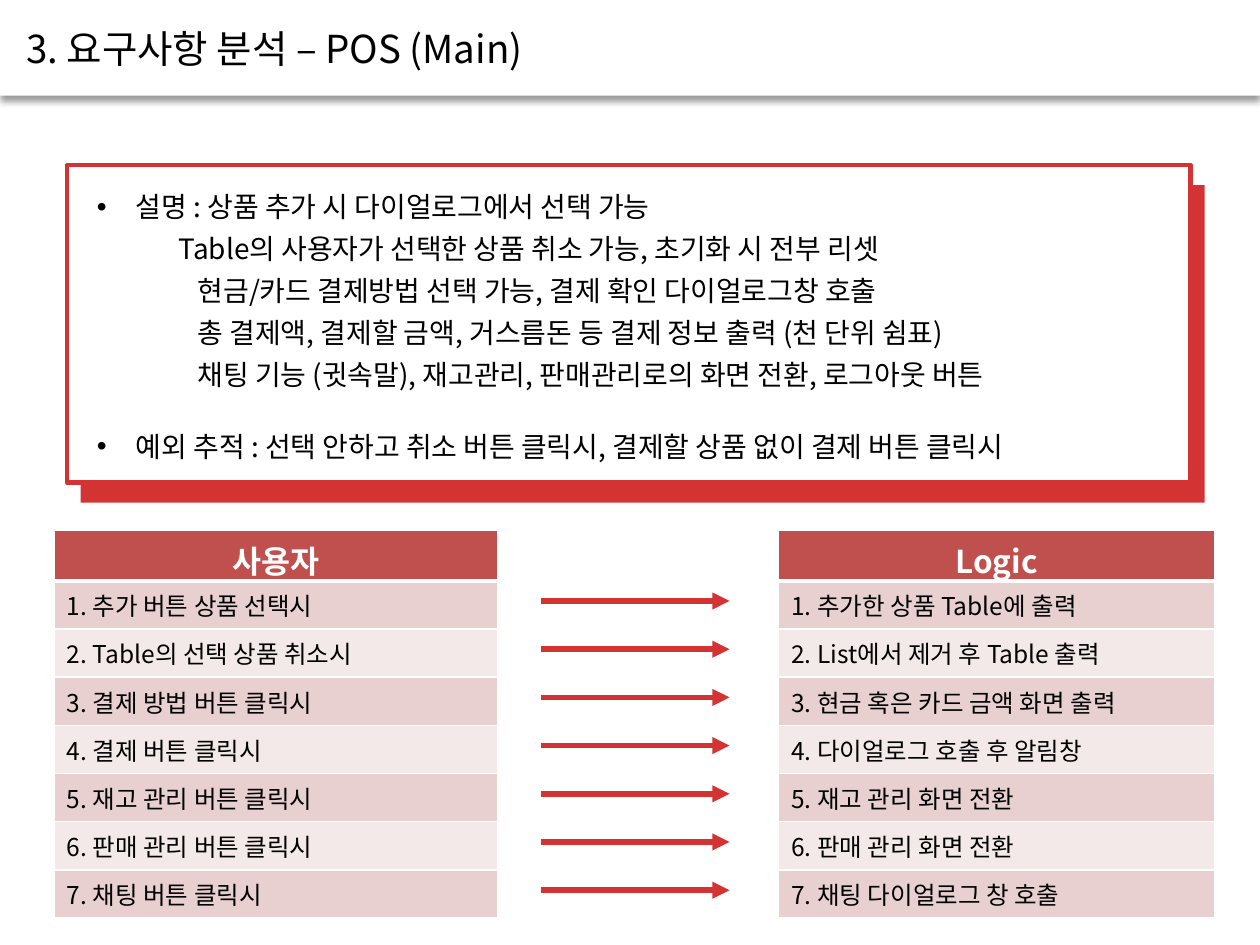
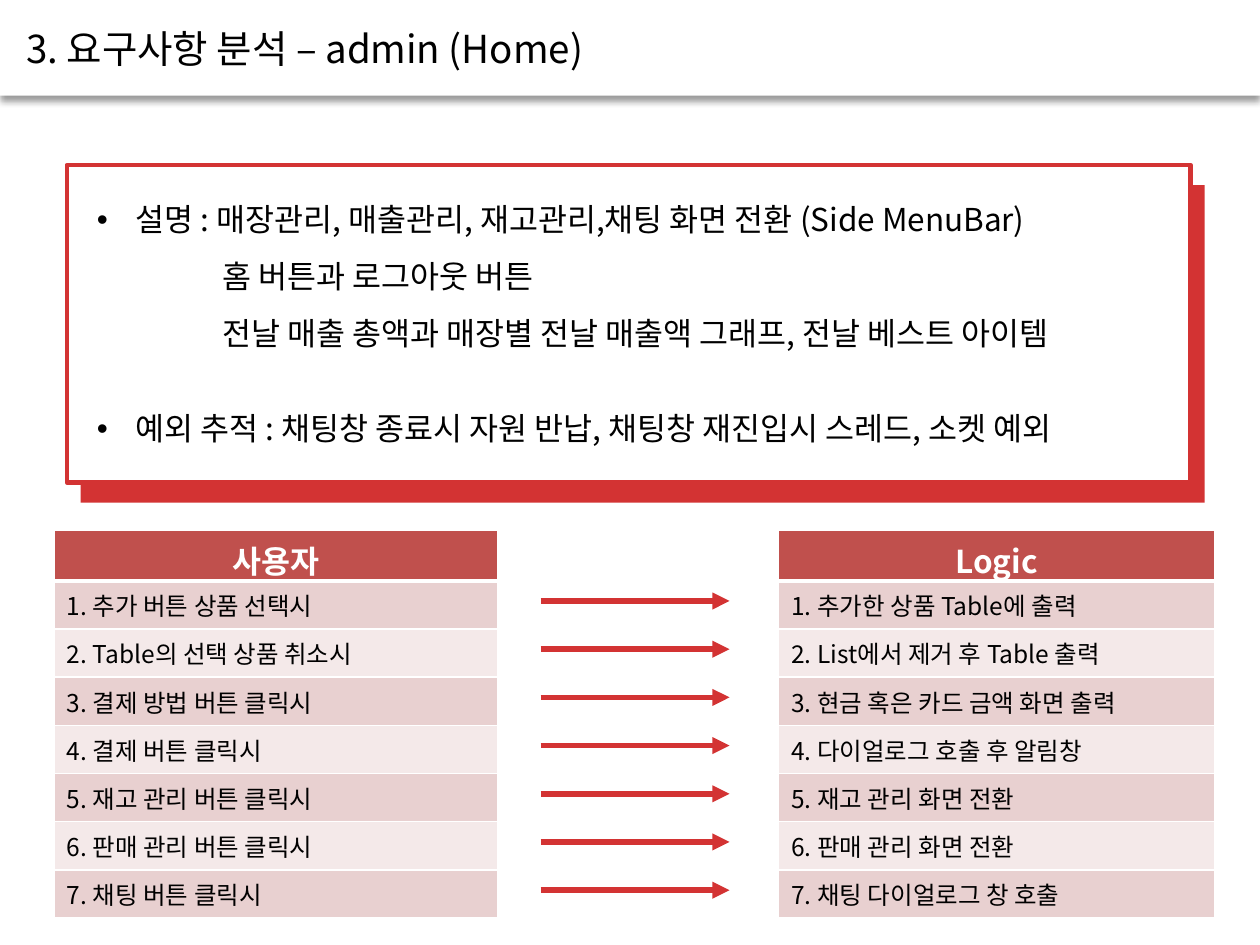
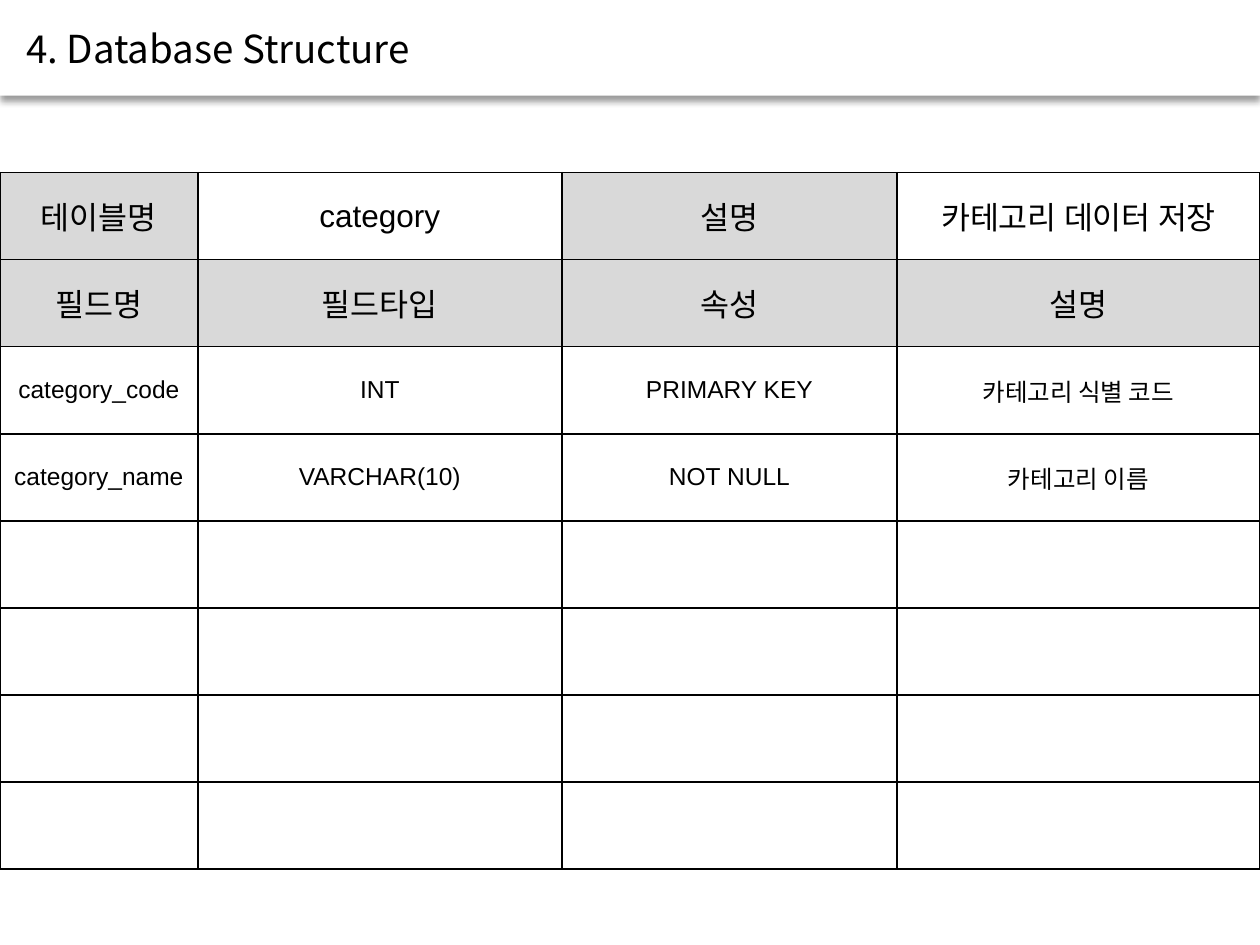
from lxml import etree
from pptx import Presentation
from pptx.dml.color import RGBColor
from pptx.enum.shapes import MSO_CONNECTOR as Connector, MSO_SHAPE as Shape
from pptx.enum.text import MSO_ANCHOR as Anchor, MSO_AUTO_SIZE as AutoSize, PP_ALIGN as Align
from pptx.oxml.ns import qn
from pptx.util import Inches, Pt

BLACK = RGBColor(0x00, 0x00, 0x00)
WHITE = RGBColor(0xFF, 0xFF, 0xFF)
RED = RGBColor(0xD3, 0x33, 0x33)
HEADER_RED = RGBColor(0xC0, 0x50, 0x4D)
ROW_PINKS = [RGBColor(0xE8, 0xD0, 0xD0), RGBColor(0xF4, 0xE9, 0xE9)]
GREY = RGBColor(0xD9, 0xD9, 0xD9)

KOREAN_FONT = "Noto Sans CJK KR"
LATIN_FONT = "Arial"

STEP_TOP = Inches(4.21)
STEP_HEIGHT = Inches(3.06)
FIRST_ARROW = Inches(4.77)

USER_STEPS = [
    "1. 추가 버튼 상품 선택시",
    "2. Table의 선택 상품 취소시",
    "3. 결제 방법 버튼 클릭시",
    "4. 결제 버튼 클릭시",
    "5. 재고 관리 버튼 클릭시",
    "6. 판매 관리 버튼 클릭시",
    "7. 채팅 버튼 클릭시",
]
LOGIC_STEPS = [
    "1. 추가한 상품 Table에 출력",
    "2. List에서 제거 후 Table 출력",
    "3. 현금 혹은 카드 금액 화면 출력",
    "4. 다이얼로그 호출 후 알림창",
    "5. 재고 관리 화면 전환",
    "6. 판매 관리 화면 전환",
    "7. 채팅 다이얼로그 창 호출",
]
POS_LINES = [
    ("설명 : 상품 추가 시 다이얼로그에서 선택 가능", None),
    ("Table의 사용자가 선택한 상품 취소 가능, 초기화 시 전부 리셋", 0.65),
    ("현금/카드 결제방법 선택 가능, 결제 확인 다이얼로그창 호출", 0.8),
    ("총 결제액, 결제할 금액, 거스름돈 등 결제 정보 출력 (천 단위 쉼표)", 0.8),
    ("채팅 기능 (귓속말), 재고관리, 판매관리로의 화면 전환, 로그아웃 버튼", 0.8),
]
ADMIN_LINES = [
    ("설명 : 매장관리, 매출관리, 재고관리,채팅 화면 전환 (Side MenuBar)", None),
    ("홈 버튼과 로그아웃 버튼", 1),
    ("전날 매출 총액과 매장별 전날 매출액 그래프, 전날 베스트 아이템", 1),
]
CATEGORY_ROWS = [
    ["테이블명", "category", "설명", "카테고리 데이터 저장"],
    ["필드명", "필드타입", "속성", "설명"],
    ["category_code", "INT", "PRIMARY KEY", "카테고리 식별 코드"],
    ["category_name", "VARCHAR(10)", "NOT NULL", "카테고리 이름"],
] + [[""] * 4] * 4


def add_xml(parent, tag, **attributes):
    return etree.SubElement(parent, qn(tag), attributes)


class SlideBuilder:
    def __init__(self, deck):
        self.deck = deck
        self.slide = None

    def start(self, title):
        """Add a blank slide with the shadowed title band."""
        self.slide = self.deck.slides.add_slide(self.deck.slide_layouts[6])
        band = self.rectangle(0, 0, 10, 0.76, WHITE)
        effects = band._element.spPr.find(qn("a:effectLst"))
        shadow = add_xml(effects, "a:outerShdw", blurRad=str(Pt(4)), dist=str(Pt(3)),
                         dir="5400000", algn="t", rotWithShape="0")
        color = add_xml(shadow, "a:srgbClr", val=str(BLACK))
        add_xml(color, "a:alpha", val="40000")
        self.text(0.11, 0.15, 5.92, 0.47, [(title, 0)], 22)

    def style(self, para, size, color=BLACK, bold=False, font=KOREAN_FONT):
        para.font.size = Pt(size)
        para.font.color.rgb = color
        para.font.bold = bold
        para.font.name = font
        add_xml(para._p.pPr.find(qn("a:defRPr")), "a:ea", typeface=KOREAN_FONT)

    def rectangle(self, left, top, width, height, fill, line=None):
        box = self.slide.shapes.add_shape(
            Shape.RECTANGLE, Inches(left), Inches(top), Inches(width), Inches(height))
        box.shadow.inherit = False
        box.fill.solid()
        box.fill.fore_color.rgb = fill
        if line is None:
            box.line.fill.background()
        else:
            box.line.color.rgb = line
            box.line.width = Pt(2.5)
        return box

    def text(self, left, top, width, height, lines, size, spacing=None):
        """Write (text, indent) lines; an indent of None makes a bullet."""
        box = self.slide.shapes.add_textbox(
            Inches(left), Inches(top), Inches(width), Inches(height))
        frame = box.text_frame
        frame.word_wrap = True
        frame.auto_size = AutoSize.SHAPE_TO_FIT_TEXT
        for index, (words, indent) in enumerate(lines):
            para = frame.add_paragraph() if index else frame.paragraphs[0]
            para.text = words
            para.line_spacing = spacing
            properties = para._p.get_or_add_pPr()
            if indent is None:
                properties.set("marL", str(Inches(0.31)))
                properties.set("indent", str(-Inches(0.31)))
                add_xml(properties, "a:buFont", typeface=LATIN_FONT)
                add_xml(properties, "a:buChar", char="•")
            elif indent:
                properties.set("marL", str(Inches(indent)))
            self.style(para, size)

    def arrow(self, left, right, y):
        line = self.slide.shapes.add_connector(Connector.STRAIGHT, left, y, right, y)
        line.line.color.rgb = RED
        line.line.width = Pt(3.25)
        add_xml(line.line._get_or_add_ln(), "a:tailEnd", type="triangle")
        add_xml(line._element.spPr, "a:effectLst")

    def table(self, rows, columns, left, top, width, height):
        table = self.slide.shapes.add_table(rows, columns, left, top, width, height).table
        table.first_row = table.horz_banding = False
        return table

    def cell(self, cell, words, size, fill=None, border=BLACK, top=1, bottom=1,
             align=Align.CENTER, **font):
        properties = cell._tc.get_or_add_tcPr()
        for side, width in (("L", 1), ("R", 1), ("T", top), ("B", bottom)):
            line = add_xml(properties, f"a:ln{side}", w=str(Pt(width)))
            add_xml(add_xml(line, "a:solidFill"), "a:srgbClr", val=str(border))
        if fill is None:
            cell.fill.background()
        else:
            cell.fill.solid()
            cell.fill.fore_color.rgb = fill
        cell.vertical_anchor = Anchor.MIDDLE
        para = cell.text_frame.paragraphs[0]
        para.text = words
        para.alignment = align
        self.style(para, size, **font)

    def step_table(self, left, width, heading, steps):
        table = self.table(len(steps) + 1, 1, Inches(left), STEP_TOP, Inches(width), STEP_HEIGHT)
        self.cell(table.cell(0, 0), heading, 18, HEADER_RED, WHITE, bottom=3,
                  color=WHITE, bold=True)
        for index, step in enumerate(steps):
            self.cell(table.cell(index + 1, 0), step, 14, ROW_PINKS[index % 2], WHITE,
                      top=1 if index else 3, align=Align.LEFT)

    def requirement(self, title, lines, exception, exception_top, size, spacing):
        """Build a slide with a framed description above the user and logic steps."""
        self.start(title)
        self.rectangle(0.64, 1.47, 8.92, 2.52, RED)
        self.rectangle(0.53, 1.31, 8.92, 2.52, WHITE, RED)
        self.text(0.67, 1.39, 8.78, 1.9, lines, size, spacing)
        self.text(0.67, exception_top, 8.78, 0.4, [(exception, None)], size)
        self.step_table(0.43, 3.52, "사용자", USER_STEPS)
        self.step_table(6.18, 3.46, "Logic", LOGIC_STEPS)
        pitch = STEP_HEIGHT // (len(USER_STEPS) + 1)
        for index in range(len(USER_STEPS)):
            self.arrow(Inches(4.29), Inches(5.79), FIRST_ARROW + index * pitch)

    def database(self, title, rows):
        self.start(title)
        widths = [1.57, 2.89, 2.66, 2.88]
        table = self.table(len(rows), len(widths), 0, Inches(1.37), Inches(10), Inches(5.53))
        for column, width in zip(table.columns, widths):
            column.width = Inches(width)
        for row, texts in enumerate(rows):
            for column, words in enumerate(texts):
                label = row == 1 or (row == 0 and column % 2 == 0)
                self.cell(table.cell(row, column), words, 18 if row < 2 else 14,
                          GREY if label else None, font=KOREAN_FONT if label else LATIN_FONT)


def main():
    deck = Presentation()
    deck.slide_width, deck.slide_height = Inches(10), Inches(7.5)
    builder = SlideBuilder(deck)
    builder.requirement(
        "3. 요구사항 분석 – POS (Main)", POS_LINES,
        "예외 추적 : 선택 안하고 취소 버튼 클릭시, 결제할 상품 없이 결제 버튼 클릭시",
        3.36, 16, Pt(24))
    builder.requirement(
        "3. 요구사항 분석 – admin (Home)", ADMIN_LINES,
        "예외 추적 : 채팅창 종료시 자원 반납, 채팅창 재진입시 스레드, 소켓 예외",
        3.2, 18, 1.5)
    builder.database("4. Database Structure", CATEGORY_ROWS)
    deck.save("out.pptx")


if __name__ == "__main__":
    main()
